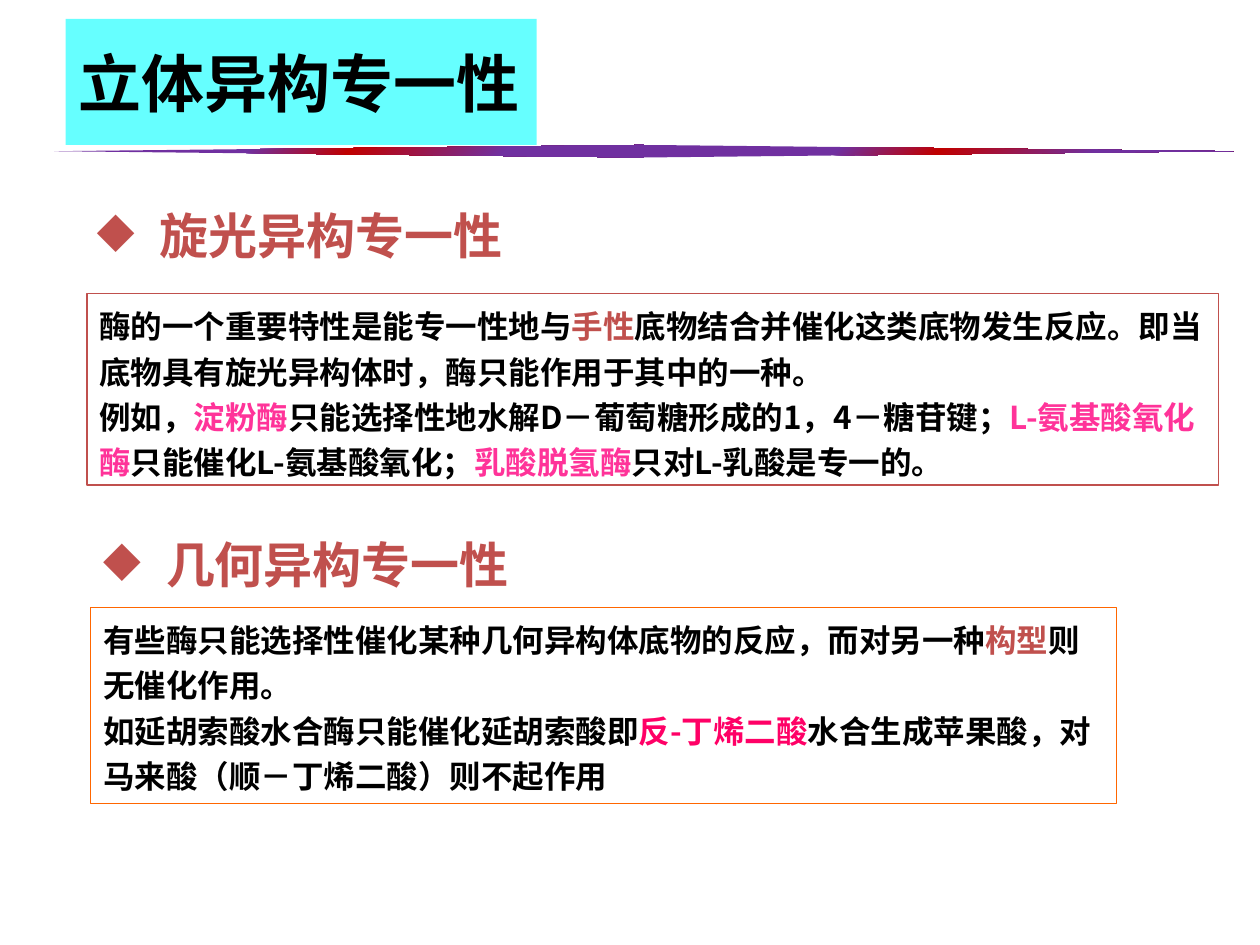
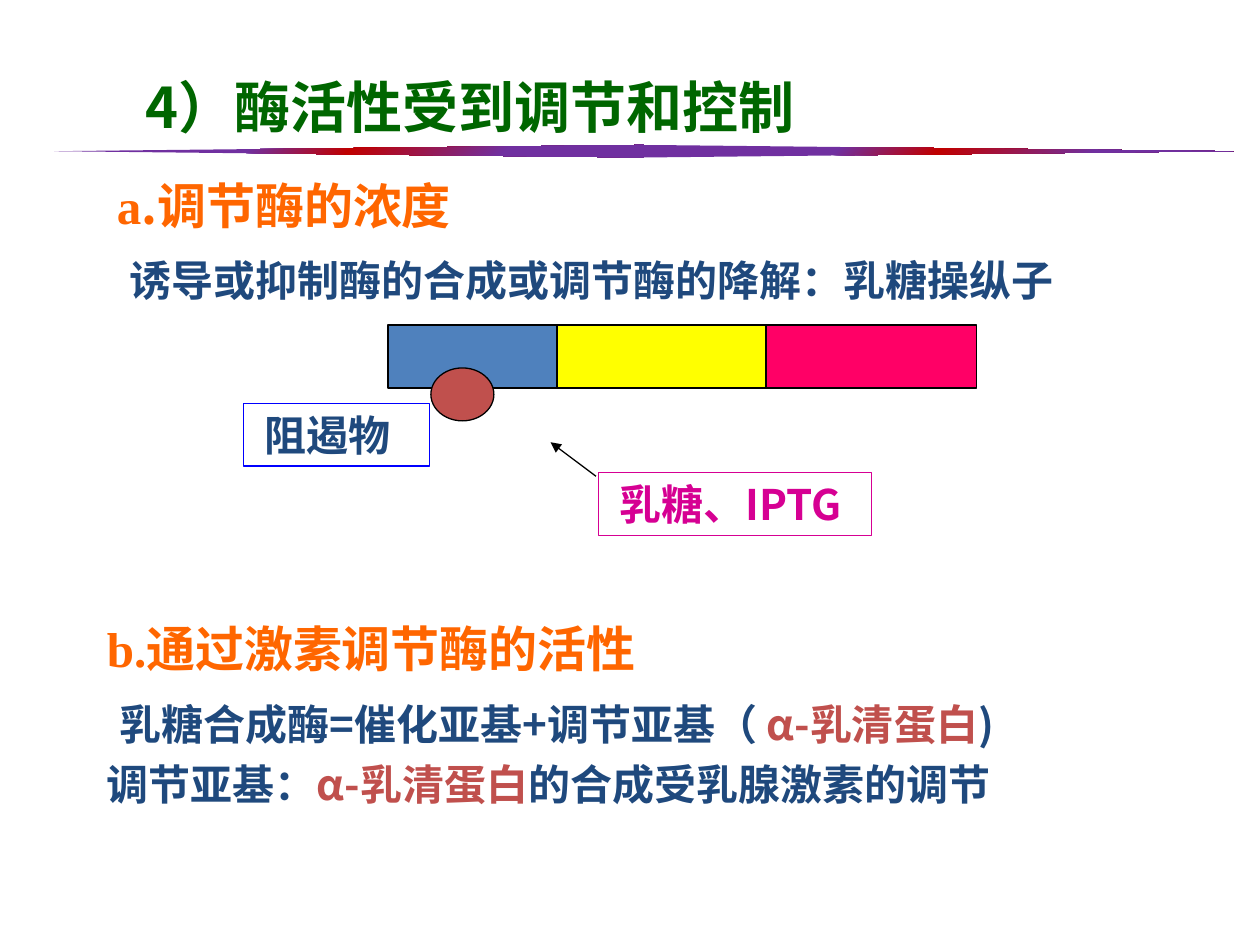
"""Build two slides on enzyme specificity and regulation."""
from dataclasses import dataclass

from pptx import Presentation
from pptx.dml.color import RGBColor as RGB
from pptx.enum.shapes import MSO_CONNECTOR as Link, MSO_SHAPE as Kind
from pptx.enum.text import MSO_ANCHOR as Anchor, MSO_AUTO_SIZE as Auto, PP_ALIGN as Align
from pptx.oxml import parse_xml
from pptx.oxml.ns import nsdecls, qn
from pptx.util import Inches, Pt


@dataclass(frozen=True)
class Theme:
    """Colours, fonts and type sizes of the deck."""
    black: str = "000000"
    red: str = "C0504D"
    navy: str = "1F497D"
    blue: str = "4F81BD"
    edge: str = "0000FF"
    orange: str = "FF6600"
    pink: str = "FF3399"
    rose: str = "FF0066"
    plum: str = "D60093"
    green: str = "006600"
    cyan: str = "66FFFF"
    yellow: str = "FFFF00"
    violet: str = "7030A0"
    crimson: str = "C00000"
    sans: str = "Noto Sans CJK SC"
    serif: str = "Times New Roman"
    banner: int = 36
    title: int = 32
    head: int = 28
    body: int = 24
    note: int = 18
    thin: float = 0.75


T = Theme()


def put(item, **values):
    """Set each format value on the item."""
    for name, value in values.items():
        setattr(item, name, value)


def area(*sizes):
    """Turn numbers into lengths in inches."""
    return [Inches(size) for size in sizes]


def add_run(para, text, color, size, face=T.sans):
    """Add one bold run with its Latin and East Asian fonts."""
    run = para.add_run()
    run.text = text
    put(run.font, name=face, size=Pt(size), bold=True)
    run.font.color.rgb = RGB.from_string(color)
    run.font._rPr.append(parse_xml(f'<a:ea {nsdecls("a")} typeface="{T.sans}"/>'))


def write(shape, paras, size, anchor=Anchor.TOP, **form):
    """Write paragraphs, each a list of (text, colour, ...) runs."""
    frame = shape.text_frame
    put(frame, word_wrap=True, auto_size=Auto.NONE, vertical_anchor=anchor)
    for spot, runs in enumerate(paras):
        para = frame.add_paragraph() if spot else frame.paragraphs[0]
        put(para, **{"alignment": Align.LEFT, **form})
        for text, color, *rest in runs:
            add_run(para, text, color, *(rest or [size]))
    return frame


def add_text(slide, box, paras, size, **form):
    """Add a plain text box."""
    shape = slide.shapes.add_textbox(*area(*box))
    return write(shape, paras, size, **form)


def add_block(slide, box, fill=None, line=T.black, kind=Kind.RECTANGLE):
    """Add an outlined shape, filled or clear."""
    shape = slide.shapes.add_shape(kind, *area(*box))
    shape.shadow.inherit = False
    if fill:
        shape.fill.solid()
        shape.fill.fore_color.rgb = RGB.from_string(fill)
    else:
        shape.fill.background()
    shape.line.color.rgb = RGB.from_string(line)
    shape.line.width = Pt(T.thin)
    return shape


def add_head(slide, box, text, space):
    """Add a heading with a diamond bullet."""
    frame = add_text(slide, box, [[]], T.head, anchor=Anchor.MIDDLE, line_spacing=space)
    para = frame.paragraphs[0]
    props = para._p.get_or_add_pPr()
    indent = Inches(0.5)
    for name, value in {"marL": indent, "indent": -indent}.items():
        props.set(name, str(value))
    props.append(parse_xml(f'<a:buChar {nsdecls("a")} char="◆"/>'))
    add_run(para, text, T.red, T.head)


def add_tag(slide, box, text, line, color):
    """Add a framed label."""
    shape = add_block(slide, box, line=line)
    frame = write(shape, [[(text, color)]], T.body)
    put(frame, margin_left=Inches(0.17), margin_right=0)


def add_arrow(slide, start, end):
    """Add a thin arrow from start to end."""
    link = slide.shapes.add_connector(Link.STRAIGHT, *area(*start, *end))
    link.line.color.rgb = RGB.from_string(T.black)
    link.line.width = Pt(T.thin)
    link.line._ln.append(parse_xml(f'<a:tailEnd {nsdecls("a")} type="triangle"/>'))
    link._element.spPr.append(parse_xml(f'<a:effectLst {nsdecls("a")}/>'))


def add_rule(slide):
    """Add the tapered two-part rule under the title."""
    stops = "".join(
        f'<a:gs pos="{spot}000"><a:srgbClr val="{color}"/></a:gs>'
        for spot, color in ((24, T.violet), (50, T.crimson), (67, T.violet)))
    group = slide.shapes.add_group_shape()
    for left, turn in ((2.72, 270), (7.4, 90)):
        wing = group.shapes.add_shape(Kind.ISOSCELES_TRIANGLE, *area(left, -1.14, 0.1, 4.68))
        wing.rotation = turn
        wing.shadow.inherit = False
        props = wing._element.spPr
        if turn == 90:
            props.find(qn("a:xfrm")).set("flipH", "1")
        props.insert(2, parse_xml(
            f'<a:gradFill {nsdecls("a")}><a:gsLst>{stops}</a:gsLst>'
            '<a:path path="circle"><a:fillToRect l="100000" t="100000"/></a:path></a:gradFill>'))
        wing.line.fill.background()


def new_slide(deck, box, text, color, size, align):
    """Add a slide with the rule and a placed title."""
    slide = deck.slides.add_slide(deck.slide_layouts[5])
    add_rule(slide)
    title = slide.shapes.title
    put(title, **dict(zip(("left", "top", "width", "height"), area(*box))))
    write(title, [[(text, color)]], size, anchor=Anchor.MIDDLE, alignment=align)
    return slide


def add_forms(deck):
    """Build the slide on stereospecificity."""
    slide = new_slide(deck, (0.52, 0.15, 3.74, 1), "立体异构专一性",
                      T.black, T.banner, Align.LEFT)
    fill = slide.shapes.title.fill
    fill.solid()
    fill.fore_color.rgb = RGB.from_string(T.cyan)
    add_head(slide, (0.67, 1.58, 8, 0.57), "旋光异构专一性", 1.0)
    add_head(slide, (0.72, 4.05, 9.17, 0.75), "几何异构专一性", 1.2)
    optic = [
        [("酶的一个重要特性是能专一性地与", T.black), ("手性", T.red),
         ("底物结合并催化这类底物发生反应。即当底物具有旋光异构体时，酶只能作用于其中的一种。", T.black)],
        [("例如，", T.black), ("淀粉酶", T.pink),
         ("只能选择性地水解D－葡萄糖形成的1，4－糖苷键；", T.black),
         ("L-氨基酸氧化酶", T.pink), ("只能催化L-氨基酸氧化；", T.black),
         ("乳酸脱氢酶", T.pink), ("只对L-乳酸是专一的。", T.black)]]
    shape = [
        [("有些酶只能选择性催化某种几何异构体底物的反应，而对另一种", T.black),
         ("构型", T.red), ("则无催化作用。", T.black)],
        [("如延胡索酸水合酶只能催化延胡索酸即", T.black), ("反-丁烯二酸", T.rose),
         ("水合生成苹果酸，对马来酸（顺－丁烯二酸）则不起作用", T.black)]]
    for box, line, paras in (((0.69, 2.33, 8.98, 1.52), T.red, optic),
                             ((0.72, 4.82, 8.14, 1.56), T.orange, shape)):
        write(add_block(slide, box, line=line), paras, T.note, line_spacing=1.2)


def add_control(deck):
    """Build the slide on control of enzyme activity."""
    slide = new_slide(deck, (0.58, 0.42, 6.31, 0.84), "4）酶活性受到调节和控制",
                      T.green, T.title, Align.CENTER)
    level = [
        [("a", T.orange, T.head, T.serif), (".调节酶的浓度", T.orange, T.head)],
        [("诱导或抑制酶的合成或调节酶的降解：乳糖操纵子", T.navy)]]
    signal = [
        [("b.", T.orange, T.head, T.serif), ("通过激素调节酶的活性", T.orange, T.head)],
        [("乳糖合成酶=催化亚基+调节亚基（ ", T.navy), ("α-乳清蛋白", T.red), (")", T.navy)],
        [("调节亚基：", T.navy), ("α-乳清蛋白", T.red), ("的合成受乳腺激素的调节", T.navy)]]
    for box, paras in (((0.83, 1.25, 9.17, 1.22), level),
                       ((0.75, 4.77, 8.74, 1.78), signal)):
        frame = add_text(slide, box, paras, T.body, line_spacing=1.2)
        line = frame.paragraphs[1]
        line.space_before = Pt(6)
        line._p.get_or_add_pPr().set("indent", str(Inches(0.1)))
    for left, width, color in ((3.08, 2, T.blue), (4.42, 1.67, T.yellow), (6.08, 1.67, T.rose)):
        add_block(slide, (left, 2.58, width, 0.5), color)
    add_block(slide, (3.42, 2.92, 0.5, 0.42), T.red, kind=Kind.OVAL)
    add_tag(slide, (4.75, 3.75, 2.17, 0.5), "乳糖、IPTG", T.plum, T.plum)
    add_arrow(slide, (4.73, 3.78), (4.37, 3.51))
    add_tag(slide, (1.93, 3.2, 1.48, 0.5), "阻遏物", T.edge, T.navy)


def main():
    """Build and save the deck."""
    deck = Presentation()
    put(deck, slide_width=Inches(10), slide_height=Inches(7.5))
    add_forms(deck)
    add_control(deck)
    deck.save("out.pptx")


if __name__ == "__main__":
    main()
